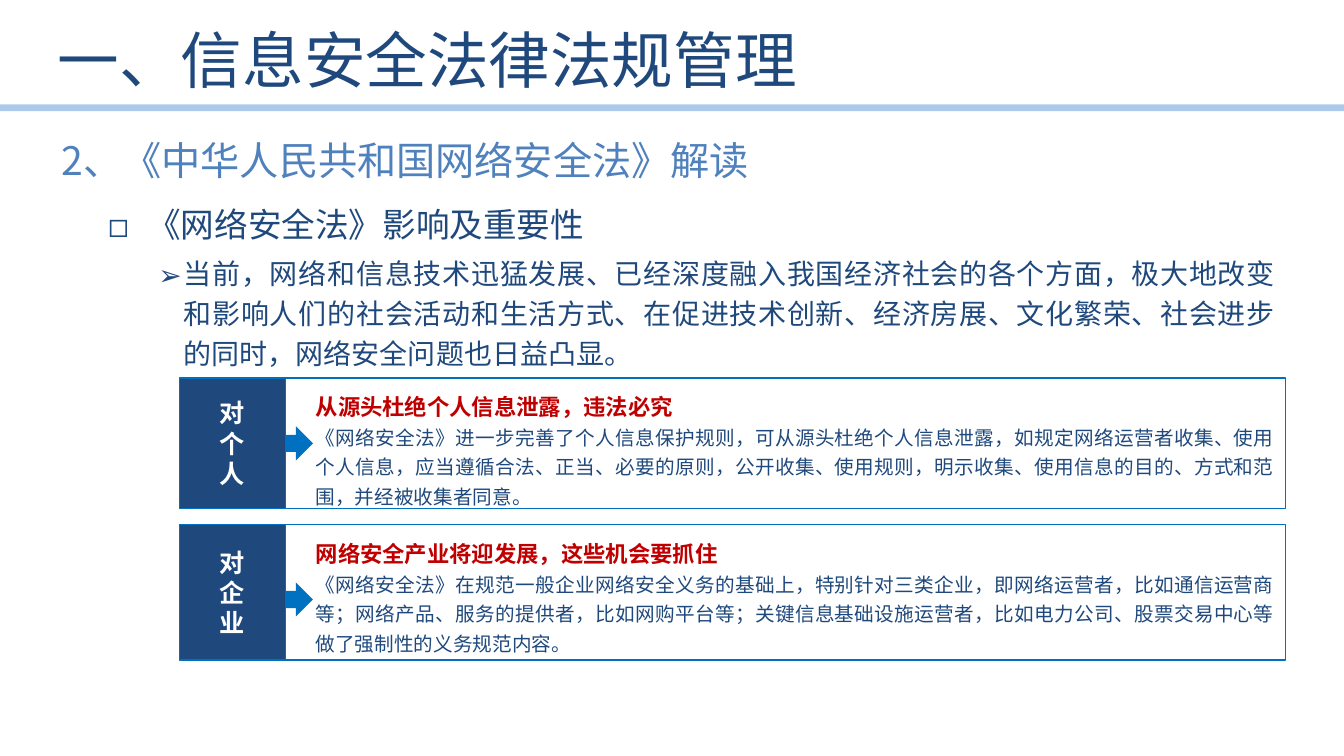
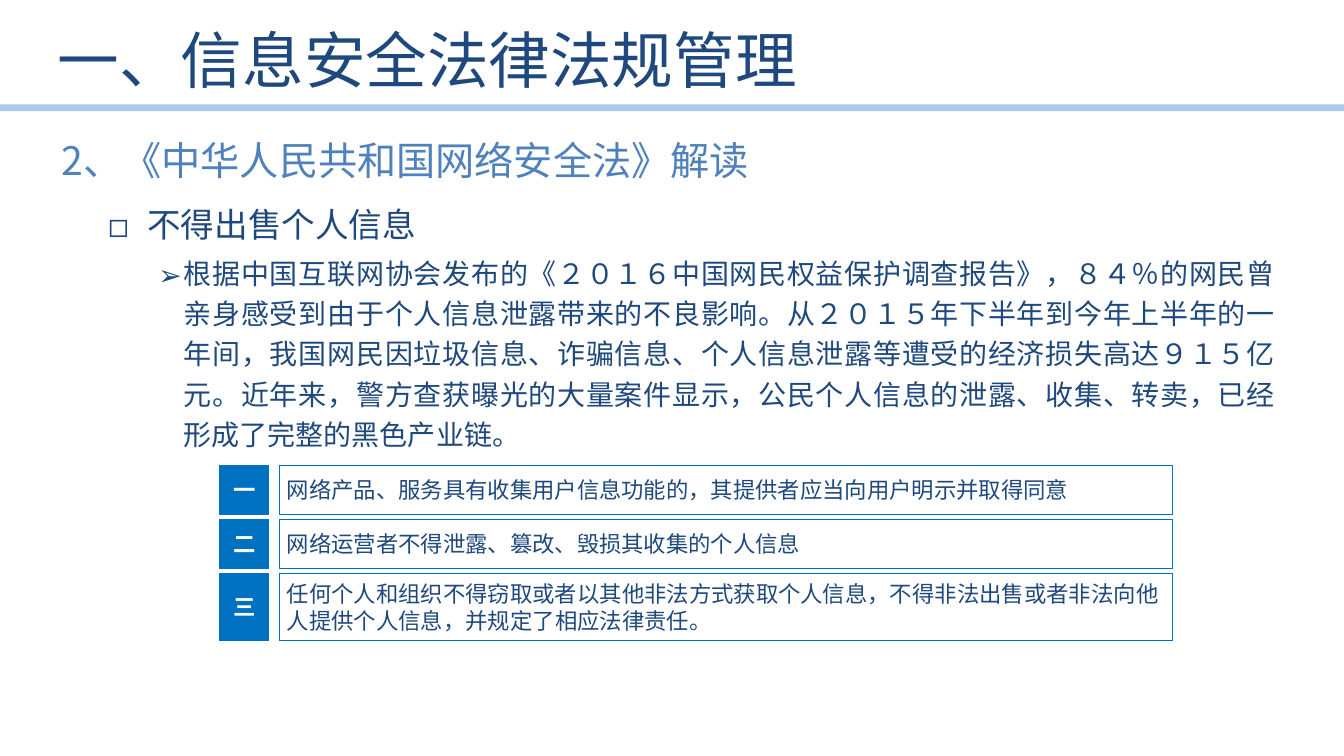
from lxml import etree
from pptx import Presentation
from pptx.dml.color import RGBColor
from pptx.enum.shapes import MSO_CONNECTOR, MSO_SHAPE
from pptx.enum.text import MSO_ANCHOR, MSO_AUTO_SIZE, PP_ALIGN
from pptx.oxml.ns import qn
from pptx.util import Pt

RECTANGLE, RIGHT_ARROW = MSO_SHAPE.RECTANGLE, MSO_SHAPE.RIGHT_ARROW
STRAIGHT = MSO_CONNECTOR.STRAIGHT
TOP, MIDDLE = MSO_ANCHOR.TOP, MSO_ANCHOR.MIDDLE
LEFT, CENTER, JUSTIFY = PP_ALIGN.LEFT, PP_ALIGN.CENTER, PP_ALIGN.JUSTIFY
NO_AUTOFIT = MSO_AUTO_SIZE.NONE

NAVY = RGBColor(0x1F, 0x49, 0x7D)
BLUE = RGBColor(0x00, 0x70, 0xC0)
STEEL = RGBColor(0x4F, 0x81, 0xBD)
PALE = RGBColor(0x8E, 0xB4, 0xE3)
RED = RGBColor(0xC0, 0x00, 0x00)
WHITE = RGBColor(0xFF, 0xFF, 0xFF)

FONT = "Noto Sans CJK SC"
TITLE = "一、信息安全法律法规管理"
HEADING = "2、《中华人民共和国网络安全法》解读"

IMPACT_TOPIC = "《网络安全法》影响及重要性"
IMPACT_DETAIL = (
    "当前，网络和信息技术迅猛发展、已经深度融入我国经济社会的各个方面，"
    "极大地改变和影响人们的社会活动和生活方式、在促进技术创新、经济房展、"
    "文化繁荣、社会进步的同时，网络安全问题也日益凸显。"
)
IMPACTS = [
    (270, 93, 304.5, "对个人", "从源头杜绝个人信息泄露，违法必究",
     "《网络安全法》进一步完善了个人信息保护规则，可从源头杜绝个人信息泄露，"
     "如规定网络运营者收集、使用个人信息，应当遵循合法、正当、必要的原则，"
     "公开收集、使用规则，明示收集、使用信息的目的、方式和范围，并经被收集者同意。"),
    (375, 96.5, 416, "对企业", "网络安全产业将迎发展，这些机会要抓住",
     "《网络安全法》在规范一般企业网络安全义务的基础上，特别针对三类企业，"
     "即网络运营者，比如通信运营商等；网络产品、服务的提供者，比如网购平台等；"
     "关键信息基础设施运营者，比如电力公司、股票交易中心等做了强制性的义务规范内容。"),
]

SALE_TOPIC = "不得出售个人信息"
SALE_DETAIL = (
    "根据中国互联网协会发布的《２０１６中国网民权益保护调查报告》，"
    "８４％的网民曾亲身感受到由于个人信息泄露带来的不良影响。"
    "从２０１５年下半年到今年上半年的一年间，我国网民因垃圾信息、诈骗信息、"
    "个人信息泄露等遭受的经济损失高达９１５亿元。近年来，警方查获曝光的大量案件显示，"
    "公民个人信息的泄露、收集、转卖，已经形成了完整的黑色产业链。"
)
RULES = [
    ("一", 35, "网络产品、服务具有收集用户信息功能的，其提供者应当向用户明示并取得同意"),
    ("二", 35, "网络运营者不得泄露、篡改、毁损其收集的个人信息"),
    ("三", 48, "任何个人和组织不得窃取或者以其他非法方式获取个人信息，"
     "不得非法出售或者非法向他人提供个人信息，并规定了相应法律责任。"),
]


class Deck:
    """Holds the shared style and the slide being built."""

    def __init__(self):
        self.presentation = Presentation()
        self.presentation.slide_width = Pt(960)
        self.presentation.slide_height = Pt(540)
        self.layout = self.presentation.slide_layouts[1]
        self.slide = None
        title, body = list(self.layout.placeholders)[:2]
        self.place(title, 34, 7, 793, 70)
        self.place(body, 34, 136, 884, 329)

    def place(self, shape, left, top, width, height):
        shape.left, shape.top = Pt(left), Pt(top)
        shape.width, shape.height = Pt(width), Pt(height)

    def style_text(self, paragraph, text, size, color, bold=False, align=LEFT, spacing=1.2):
        paragraph.text = text
        paragraph.alignment = align
        paragraph.line_spacing = Pt(round(size * spacing, 1))
        for run in paragraph.runs:
            run.font.size = Pt(size)
            run.font.bold = bold
            run.font.name = FONT
            run.font.color.rgb = color
            east_asian = etree.SubElement(run._r.get_or_add_rPr(), qn("a:ea"))
            east_asian.set("typeface", FONT)

    def start(self, topic, detail):
        self.slide = self.presentation.slides.add_slide(self.layout)
        self.band()
        title = self.slide.shapes.title.text_frame
        title.auto_size = NO_AUTOFIT
        title.vertical_anchor = MIDDLE
        self.style_text(title.paragraphs[0], TITLE, 44, NAVY)
        body = self.slide.placeholders[1].text_frame
        body.auto_size = NO_AUTOFIT
        self.bullet(body.paragraphs[0], topic, 1, "◻", 24, 64, 28, 0)
        self.bullet(body.add_paragraph(), detail, 2, "➢", 20, 90, 18, 4)
        heading = self.slide.shapes.add_textbox(Pt(37), Pt(94), Pt(512), Pt(41))
        self.style_text(heading.text_frame.paragraphs[0], HEADING, 28, STEEL)

    def band(self):
        band = self.slide.shapes.add_connector(STRAIGHT, Pt(0), Pt(77), Pt(960), Pt(77))
        band.line.width = Pt(4.75)
        band.line.color.rgb = PALE
        properties = band._element.spPr
        color = properties.find(".//" + qn("a:srgbClr"))
        etree.SubElement(color, qn("a:alpha")).set("val", "73000")
        etree.SubElement(properties, qn("a:effectLst"))

    def bullet(self, paragraph, text, level, mark, size, margin, hanging, before):
        paragraph.level = level
        properties = paragraph._p.get_or_add_pPr()
        properties.set("marL", str(Pt(margin)))
        properties.set("indent", str(-Pt(hanging)))
        etree.SubElement(properties, qn("a:buFont")).set("typeface", FONT)
        etree.SubElement(properties, qn("a:buChar")).set("char", mark)
        self.style_text(paragraph, text, size, NAVY, align=JUSTIFY, spacing=1.44)
        paragraph.space_before = Pt(before)

    def box(self, left, top, width, height, fill=None, line=BLUE, kind=RECTANGLE):
        shape = self.slide.shapes.add_shape(kind, Pt(left), Pt(top), Pt(width), Pt(height))
        shape.shadow.inherit = False
        if fill is None:
            shape.fill.background()
        else:
            shape.fill.solid()
            shape.fill.fore_color.rgb = fill
        if line is None:
            shape.line.fill.background()
        else:
            shape.line.color.rgb = line
            shape.line.width = Pt(0.75)
        return shape

    def frame(self, shape, anchor=MIDDLE, left=5, top=3):
        frame = shape.text_frame
        frame.word_wrap = True
        frame.vertical_anchor = anchor
        frame.margin_left, frame.margin_right = Pt(left), Pt(5)
        frame.margin_top = frame.margin_bottom = Pt(top)
        return frame

    def impact(self, top, height, arrow_top, label, headline, detail):
        panel = self.frame(self.box(186.5, top, 732, height), TOP, 39, 6)
        panel.margin_right, panel.margin_bottom = Pt(8), Pt(0)
        self.style_text(panel.paragraphs[0], headline, 16, RED, True, JUSTIFY, 1.5)
        self.style_text(panel.add_paragraph(), detail, 14, NAVY, False, JUSTIFY, 1.5)
        self.box(194.5, arrow_top, 29, 24.5, BLUE, None, RIGHT_ARROW)
        tag = self.frame(self.box(128, top, 76, height, NAVY))
        tag.text = "\n".join(label)
        for paragraph, character in zip(tag.paragraphs, label):
            self.style_text(paragraph, character, 18, WHITE, True, CENTER)

    def rule(self, top, height, number, text):
        panel = self.frame(self.box(200, top, 637.5, height))
        self.style_text(panel.paragraphs[0], text, 16, NAVY)
        tag = self.frame(self.box(157, top, 35, height, BLUE))
        self.style_text(tag.paragraphs[0], number, 16, WHITE, True, CENTER)


def main():
    deck = Deck()
    deck.start(IMPACT_TOPIC, IMPACT_DETAIL)
    for impact in IMPACTS:
        deck.impact(*impact)

    deck.start(SALE_TOPIC, SALE_DETAIL)
    top = 332.5
    for number, height, text in RULES:
        deck.rule(top, height, number, text)
        top += height + 3.5

    deck.presentation.save("out.pptx")


if __name__ == "__main__":
    main()
